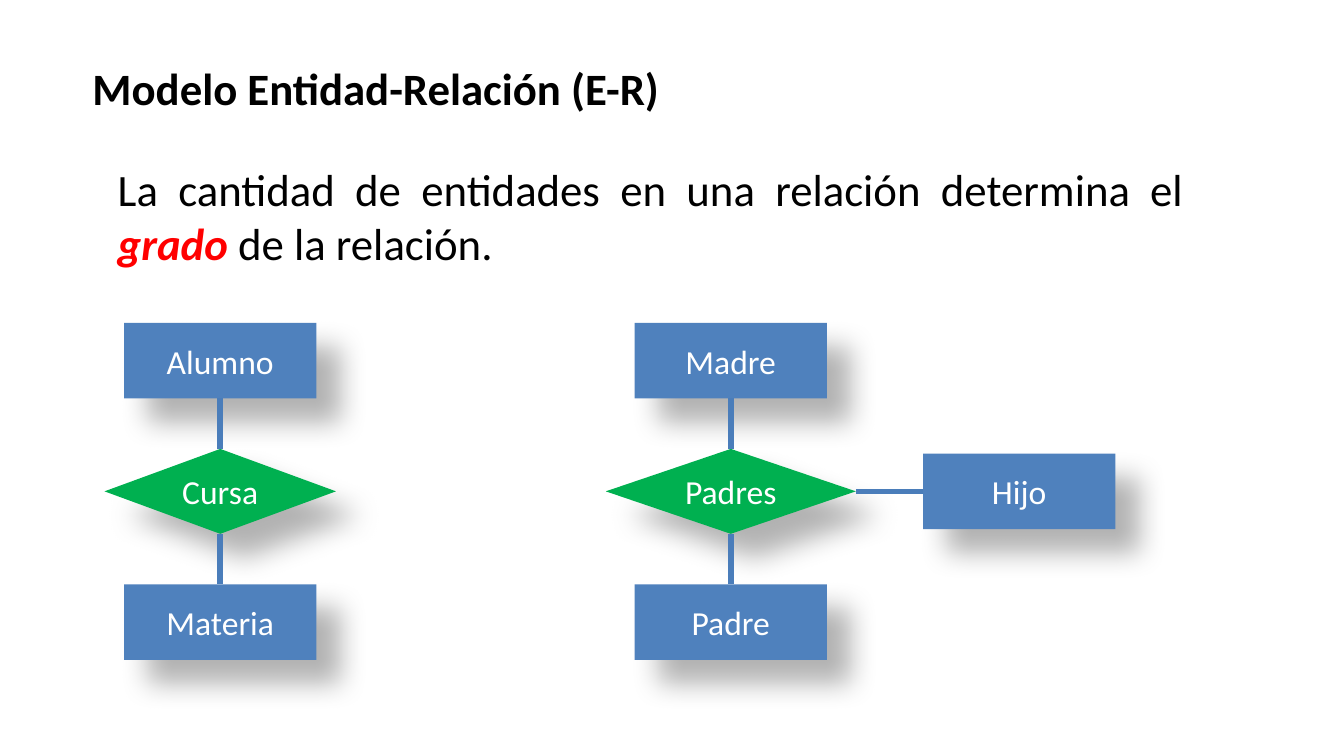
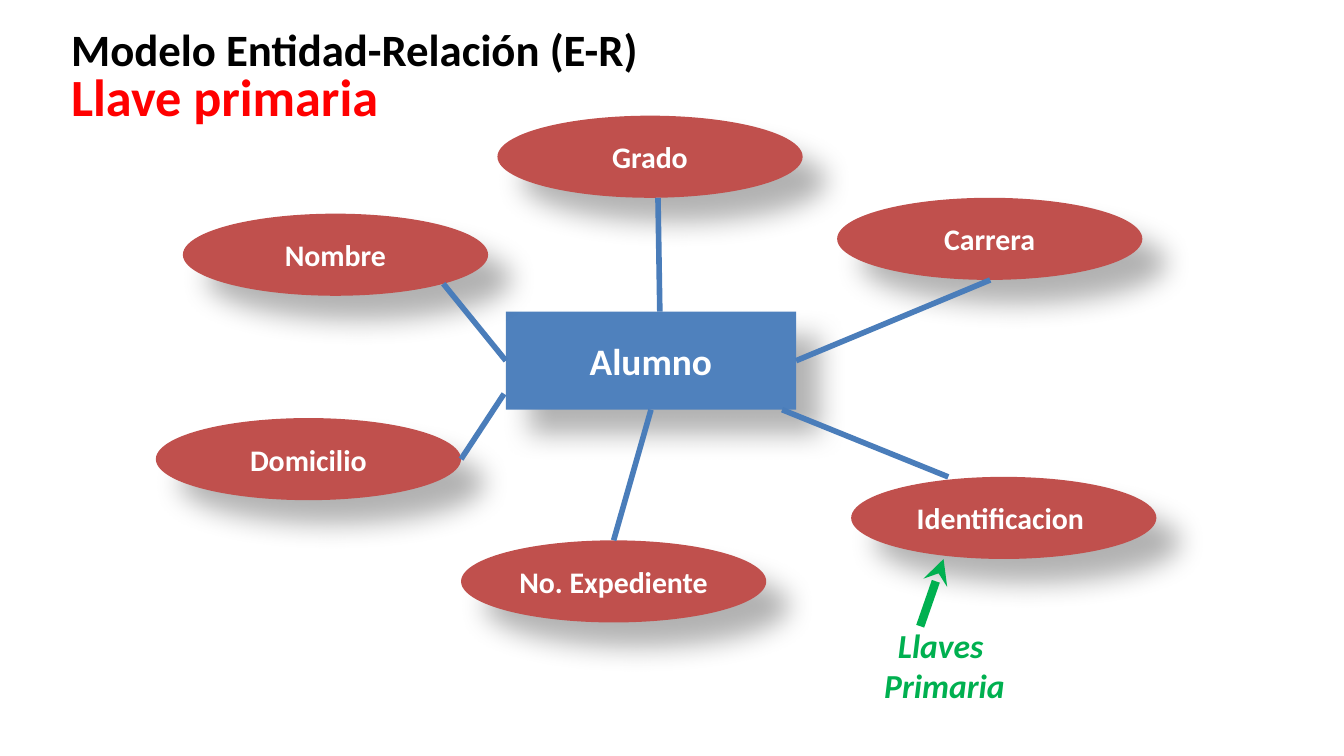
from dataclasses import dataclass
from typing import NamedTuple

from lxml.etree import SubElement
from pptx import Presentation
from pptx.dml.color import RGBColor
from pptx.enum.shapes import MSO_CONNECTOR, MSO_SHAPE
from pptx.enum.text import MSO_ANCHOR, MSO_AUTO_SIZE, PP_ALIGN
from pptx.oxml.ns import qn
from pptx.shapes.autoshape import Shape
from pptx.shapes.connector import Connector
from pptx.slide import Slide
from pptx.text.text import TextFrame
from pptx.util import Pt


# Theme
@dataclass(frozen=True)
class Theme:
    font: str = "Calibri"
    black: str = "000000"
    white: str = "FFFFFF"
    red: str = "FF0000"
    green: str = "00B050"
    blue: str = "4F81BD"
    brick: str = "C0504D"
    wire: str = "4A7DBA"
    title: int = 24
    topic: int = 28
    body: int = 24
    node: int = 18
    core: int = 20
    trait: int = 16
    thin: float = 3
    thick: float = 4.5


THEME = Theme()
TITLE = "Modelo Entidad-Relación (E-R)"
TOP, LEFT, BOTTOM, RIGHT = range(4)


class Box(NamedTuple):
    left: float
    top: float
    width: float
    height: float


class Spot(NamedTuple):
    x: float
    y: float


class Dock(NamedTuple):
    shape: Shape
    side: int


@dataclass(frozen=True)
class Style:
    size: int
    color: str
    bold: bool = False
    italic: bool = False
    align: PP_ALIGN = PP_ALIGN.LEFT


@dataclass(frozen=True)
class Look:
    form: MSO_SHAPE
    fill: str
    style: Style


HEAD = Style(THEME.title, THEME.black, bold=True)
PLAIN = Style(THEME.node, THEME.white, align=PP_ALIGN.CENTER)
ENTITY = Look(MSO_SHAPE.RECTANGLE, THEME.blue, PLAIN)
BOND = Look(MSO_SHAPE.FLOWCHART_DECISION, THEME.green, PLAIN)
CORE = Look(MSO_SHAPE.RECTANGLE, THEME.blue,
            Style(THEME.core, THEME.white, bold=True, align=PP_ALIGN.CENTER))
TRAIT = Look(MSO_SHAPE.OVAL, THEME.brick,
             Style(THEME.trait, THEME.white, bold=True, align=PP_ALIGN.CENTER))


# Drawing helpers
def write(frame: TextFrame, text: str, style: Style) -> None:
    frame.word_wrap = True
    frame.text = text
    for para in frame.paragraphs:
        para.alignment = style.align
        font = para.font
        font.name, font.size = THEME.font, Pt(style.size)
        font.bold, font.italic = style.bold, style.italic
        font.color.rgb = RGBColor.from_string(style.color)


def label(slide: Slide, box: Box, text: str, style: Style) -> TextFrame:
    frame = slide.shapes.add_textbox(*map(Pt, box)).text_frame
    frame.auto_size = MSO_AUTO_SIZE.SHAPE_TO_FIT_TEXT
    write(frame, text, style)
    return frame


def shade(shape: Shape) -> None:
    shape.shadow.inherit = False
    effects = shape.element.spPr.find(qn("a:effectLst"))
    outer = SubElement(effects, qn("a:outerShdw"), blurRad=str(Pt(15)),
                       dist=str(Pt(18)), dir="2700000", algn="tl", rotWithShape="0")
    tint = SubElement(outer, qn("a:srgbClr"), val=THEME.black)
    SubElement(tint, qn("a:alpha"), val="30000")


def node(slide: Slide, box: Box, text: str, look: Look) -> Shape:
    shape = slide.shapes.add_shape(look.form, *map(Pt, box))
    shape.fill.solid()
    shape.fill.fore_color.rgb = RGBColor.from_string(look.fill)
    shape.line.fill.background()
    shade(shape)
    shape.text_frame.vertical_anchor = MSO_ANCHOR.MIDDLE
    write(shape.text_frame, text, look.style)
    return shape


def wire(slide: Slide, start: Spot | Dock, end: Spot | Dock,
         color: str = THEME.wire, width: float = THEME.thin) -> Connector:
    line = slide.shapes.add_connector(MSO_CONNECTOR.STRAIGHT, 0, 0, 0, 0)
    if isinstance(start, Dock):
        line.begin_connect(*start)
    else:
        line.begin_x, line.begin_y = map(Pt, start)
    if isinstance(end, Dock):
        line.end_connect(*end)
    else:
        line.end_x, line.end_y = map(Pt, end)
    line.line.color.rgb = RGBColor.from_string(color)
    line.line.width = Pt(width)
    SubElement(line.element.spPr, qn("a:effectLst"))
    return line


# Slide 1: degree of a relation
WIDTH, HEIGHT = 103, 40.5
START, GAP, RHOMB = 173, 27, 45.5
MID = START + HEIGHT + GAP + RHOMB / 2


def chain(slide: Slide, center: float, span: float,
          upper: str, bond: str, lower: str) -> Shape:
    """Stack entity, relation and entity on one axis; return the relation."""
    left, top = center - WIDTH / 2, START
    first = node(slide, Box(left, top, WIDTH, HEIGHT), upper, ENTITY)
    top += HEIGHT + GAP
    middle = node(slide, Box(center - span / 2, top, span, RHOMB), bond, BOND)
    top += RHOMB + GAP
    last = node(slide, Box(left, top, WIDTH, HEIGHT), lower, ENTITY)
    wire(slide, Dock(first, BOTTOM), Dock(middle, TOP))
    wire(slide, Dock(middle, BOTTOM), Dock(last, TOP))
    return middle


def degree(slide: Slide) -> None:
    label(slide, Box(42.5, 29, 369, 36.5), TITLE, HEAD)
    frame = label(slide, Box(56, 83, 585, 65.5),
                  "La cantidad de entidades en una relación determina el ",
                  Style(THEME.body, THEME.black, align=PP_ALIGN.JUSTIFY))
    para = frame.paragraphs[0]
    key = para.add_run()
    key.text = "grado "
    key.font.bold = key.font.italic = True
    key.font.color.rgb = RGBColor.from_string(THEME.red)
    para.add_run().text = "de la relación."

    chain(slide, 118, 124, "Alumno", "Cursa", "Materia")
    bond = chain(slide, 391.5, 134, "Madre", "Padres", "Padre")
    child = node(slide, Box(494.5, MID - HEIGHT / 2, WIDTH, HEIGHT), "Hijo", ENTITY)
    wire(slide, Dock(child, LEFT), Dock(bond, RIGHT))


# Slide 2: primary key
TRAITS = {
    "Nombre": Spot(98, 114.5),
    "Grado": Spot(266.5, 62),
    "Carrera": Spot(448.5, 106),
    "Domicilio": Spot(83.5, 224),
    "No. Expediente": Spot(247, 289.5),
    "Identificacion ": Spot(456, 255.5),
}


def primary(slide: Slide) -> None:
    label(slide, Box(31, 8, 325.5, 36.5), TITLE, HEAD)
    label(slide, Box(31, 31, 184.5, 41.5), "Llave primaria",
          Style(THEME.topic, THEME.red, bold=True))

    # Entity and its traits
    core = node(slide, Box(271, 167, 155.5, 52.5), "Alumno", CORE)
    ovals = {name: node(slide, Box(*spot, 163.5, 44), name, TRAIT)
             for name, spot in TRAITS.items()}
    for start, end in (
        (Spot(237.5, 152), Dock(core, LEFT)),
        (Spot(352.5, 106), Spot(353.5, 167)),
        (Spot(530.5, 150), Dock(core, RIGHT)),
        (Spot(247, 246), Spot(270, 211)),
        (Dock(ovals["No. Expediente"], TOP), Dock(core, BOTTOM)),
        (Spot(419, 219.5), Spot(508, 255.5)),
    ):
        wire(slide, start, end)

    # Key marker
    arrow = wire(slide, Spot(493, 335.5), Spot(505.5, 299.5), THEME.green, THEME.thick)
    SubElement(arrow.get_or_add_ln(), qn("a:tailEnd"), type="stealth")
    label(slide, Box(466, 331, 80, 51), "Llaves \nPrimaria",
          Style(THEME.node, THEME.green, True, True, PP_ALIGN.CENTER))


def main() -> None:
    deck = Presentation()
    deck.slide_width, deck.slide_height = Pt(720), Pt(405)
    for draw in (degree, primary):
        draw(deck.slides.add_slide(deck.slide_layouts[6]))
    deck.save("out.pptx")


if __name__ == "__main__":
    main()
